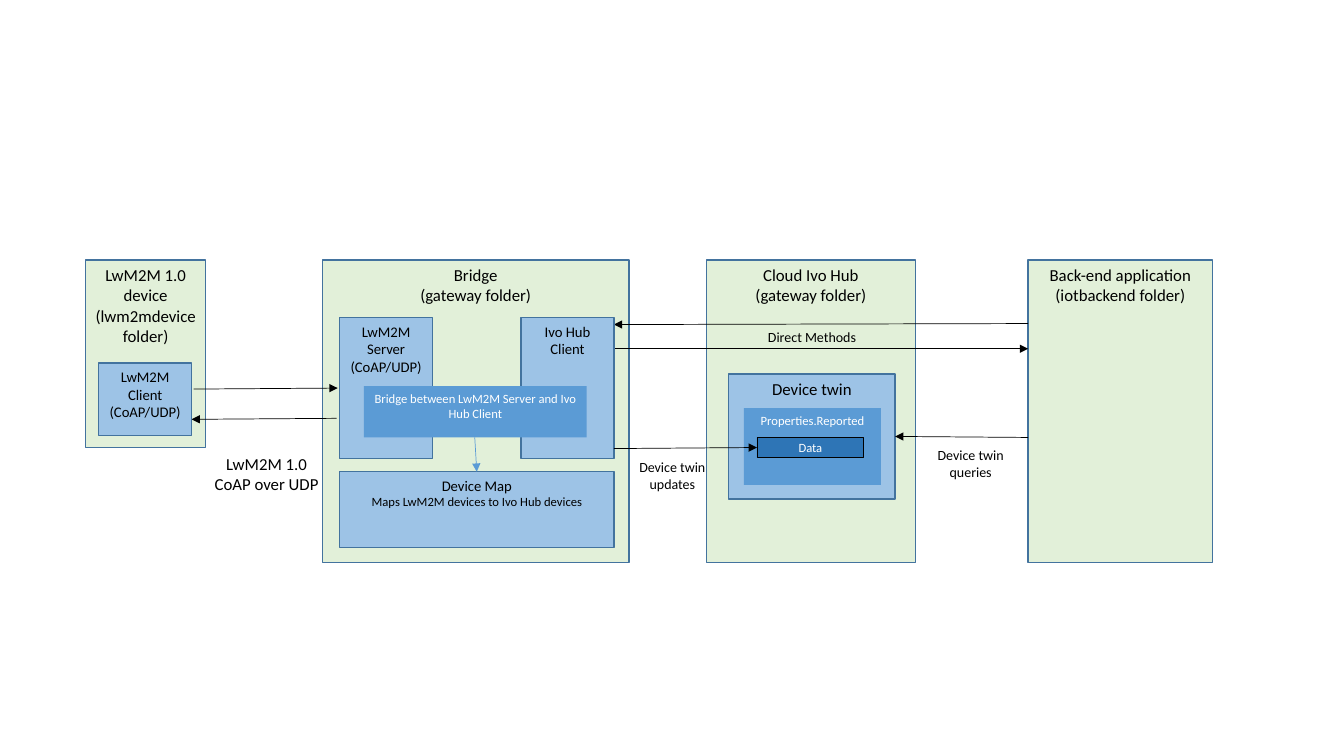
from dataclasses import dataclass

from lxml.etree import SubElement
from pptx import Presentation
from pptx.dml.color import RGBColor
from pptx.enum.shapes import MSO_CONNECTOR as Connector, MSO_SHAPE as Preset
from pptx.enum.text import MSO_ANCHOR as Anchor, PP_ALIGN as Align
from pptx.oxml.ns import qn
from pptx.util import Inches, Pt

CELL = 0.1  # inches per grid column and row
COLUMNS, ROWS = 133.33, 75


@dataclass(frozen=True)
class Theme:
    font: str = "Calibri"
    panel: str = "E2F0D9"
    component: str = "9DC3E6"
    inner: str = "5B9BD5"
    data: str = "2E75B6"
    border: str = "43739E"
    dark: str = "000000"
    light: str = "FFFFFF"
    heading: float = 12
    name: float = 10.5
    label: float = 10
    detail: float = 9
    thick: float = 1
    thin: float = 0.5


@dataclass(frozen=True)
class Area:
    """A rectangle on the slide grid."""
    left: float
    top: float
    width: float
    height: float

    @property
    def right(self):
        return self.left + self.width

    @property
    def bottom(self):
        return self.top + self.height

    def inside(self, dx, dy, width, height):
        return Area(self.left + dx, self.top + dy, width, height)

    def lengths(self):
        return [grid(n) for n in (self.left, self.top, self.width, self.height)]


THEME = Theme()


def grid(cells):
    return Inches(cells * CELL)


def colour(code):
    return RGBColor.from_string(code)


def write(frame, lines, ink):
    """Put (text, size) lines into a frame, one centred paragraph each."""
    for number, (text, size) in enumerate(lines):
        paragraph = frame.paragraphs[0] if number == 0 else frame.add_paragraph()
        paragraph.alignment = Align.CENTER
        run = paragraph.add_run()
        run.text = text
        run.font.name = THEME.font
        run.font.size = Pt(size)
        run.font.color.rgb = colour(ink)


def box(slide, area, lines, fill, border=THEME.border, weight=THEME.thick,
        ink=THEME.dark, anchor=Anchor.TOP):
    shape = slide.shapes.add_shape(Preset.RECTANGLE, *area.lengths())
    shape.shadow.inherit = False
    shape.fill.solid()
    shape.fill.fore_color.rgb = colour(fill)
    if border:
        shape.line.color.rgb = colour(border)
        shape.line.width = Pt(weight)
    else:
        shape.line.fill.background()
    frame = shape.text_frame
    frame.word_wrap = True
    frame.vertical_anchor = anchor
    frame.margin_left = frame.margin_right = Inches(0.09)
    write(frame, lines, ink)


def panel(slide, area, *texts):
    box(slide, area, [(text, THEME.heading) for text in texts], THEME.panel)


def component(slide, area, text, size=THEME.name):
    box(slide, area, [(text, size)], THEME.component)


def label(slide, area, size, *texts):
    frame = slide.shapes.add_textbox(*area.lengths()).text_frame
    frame.word_wrap = False
    write(frame, [(text, size) for text in texts], THEME.dark)


def arrow(slide, start, end, ink=THEME.dark):
    line = slide.shapes.add_connector(
        Connector.STRAIGHT, *(grid(n) for n in (*start, *end)))
    line.line.color.rgb = colour(ink)
    line.line.width = Pt(THEME.thin)
    SubElement(line.line._get_or_add_ln(), qn("a:tailEnd"), type="triangle")
    SubElement(line._element.spPr, qn("a:effectLst"))


def main():
    deck = Presentation()
    deck.slide_width, deck.slide_height = grid(COLUMNS), grid(ROWS)
    slide = deck.slides.add_slide(deck.slide_layouts[6])

    # Areas: four panels on one top line, with their parts inside
    top, tall = 25.8, 30
    device = Area(8.5, top, 11.9, 18.6)
    bridge = Area(32, top, 30.4, tall)
    hub = Area(70.1, top, 20.7, tall)
    backend = Area(102, top, 18.3, tall)

    client = device.inside(1.3, 10.2, 9.2, 7.2)
    server = bridge.inside(1.7, 5.7, 9.2, 14)
    hub_client = bridge.inside(19.7, 5.7, 9.2, 14)
    link = bridge.inside(4.1, 12.5, 22.1, 5.1)
    device_map = bridge.inside(1.7, 21, hub_client.right - server.left, 7.5)
    twin = hub.inside(2.2, 11.3, 16.5, 12.4)
    reported = twin.inside(1.5, 3.4, 13.6, 7.6)
    data = reported.inside(1.3, 2.9, 10.6, 2)

    # Panels
    panel(slide, bridge, "Bridge", "(gateway folder)")
    panel(slide, device, "LwM2M 1.0 device", "(lwm2mdevice folder)")
    panel(slide, backend, "Back-end application", "(iotbackend folder)")
    panel(slide, hub, "Cloud Ivo Hub", "(gateway folder)")

    # Device twin
    component(slide, twin, "Device twin", THEME.heading)
    box(slide, reported, [("Properties.Reported", THEME.detail)], THEME.inner,
        border=None, ink=THEME.light)
    box(slide, data, [("Data", THEME.detail)], THEME.data, border=THEME.dark,
        weight=THEME.thin, ink=THEME.light, anchor=Anchor.MIDDLE)

    # Traffic between device and bridge
    arrow(slide, (server.left - 0.3, 41.5), (client.right, 41.6))
    arrow(slide, (client.right + 0.2, 38.6), (server.left - 0.2, 38.5))
    label(slide, Area(20.2, 44.5, 12.5, 5), THEME.heading,
          "LwM2M 1.0", "CoAP over UDP")

    # Traffic between back end and hub
    arrow(slide, (backend.left, 32.1), (hub_client.right, 32.2))
    arrow(slide, (hub_client.right, 34.6), (backend.left, 34.6))
    label(slide, Area(75.1, 32.1, 10.9, 2.7), THEME.label, "Direct Methods")
    arrow(slide, (backend.left, 43.4), (twin.right, 43.3))
    label(slide, Area(91.8, 43.8, 9, 4.4), THEME.label,
          "Device twin", "queries")

    # Clients, server and device map
    component(slide, server, "LwM2M Server (CoAP/UDP)")
    component(slide, hub_client, "Ivo Hub Client")
    component(slide, client, "LwM2M Client (CoAP/UDP)")
    box(slide, device_map, [
        ("Device Map", THEME.name),
        ("Maps LwM2M devices to Ivo Hub devices", THEME.detail),
    ], THEME.component)

    # Bridge link and twin updates
    arrow(slide, (hub_client.right, 44.5), (data.left, 44.4))
    box(slide, link, [("Bridge between LwM2M Server and Ivo Hub Client",
                       THEME.detail)],
        THEME.inner, border=None, ink=THEME.light)
    arrow(slide, (47.1, link.bottom), (47.3, device_map.top), THEME.inner)
    label(slide, Area(62.2, 45, 9, 4.4), THEME.label,
          "Device twin", "updates")

    deck.save("out.pptx")


main()
